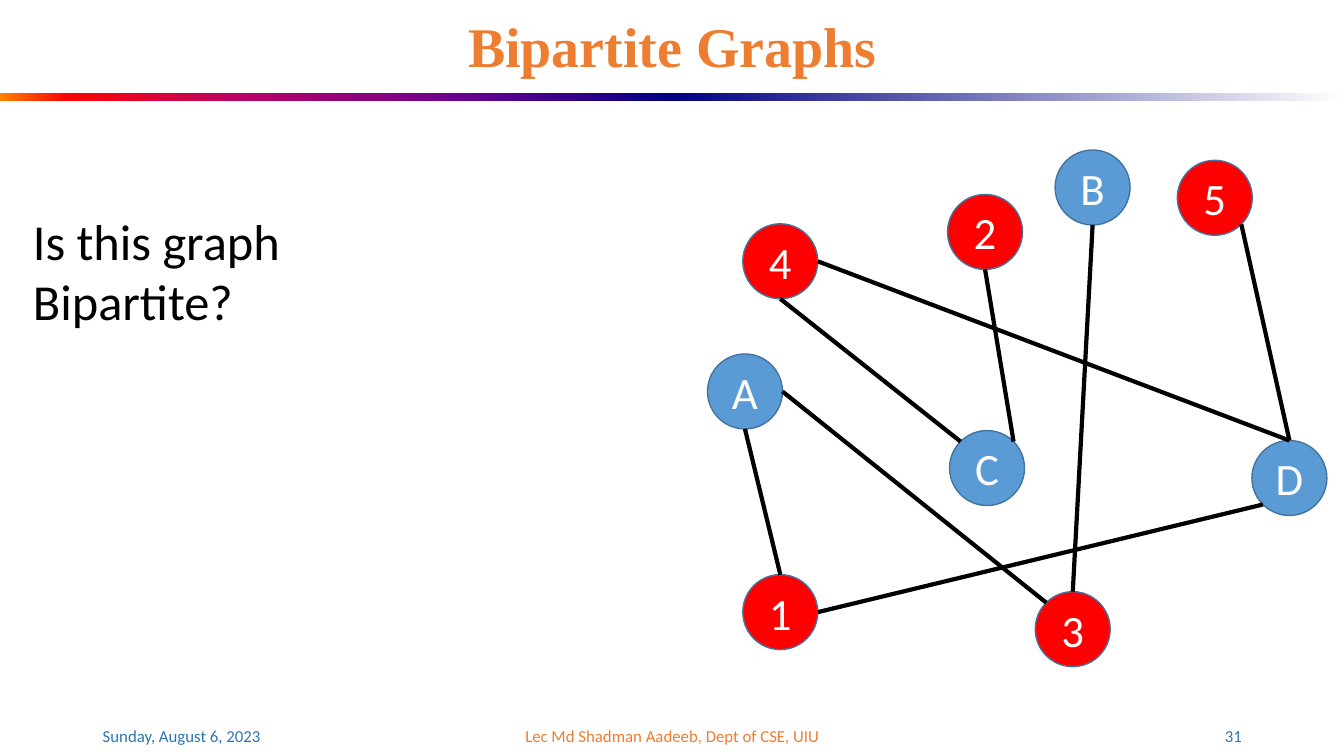
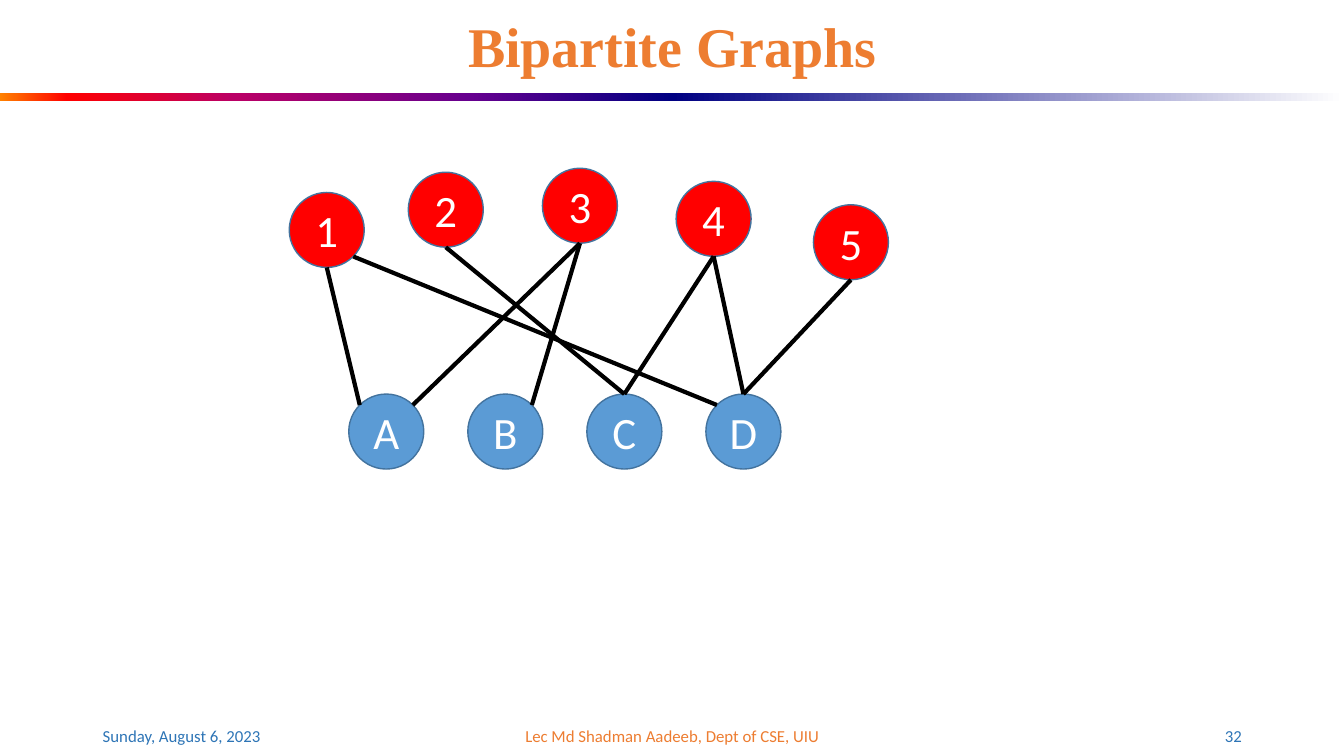
from math import cos, pi, sin

from lxml import etree
from pptx import Presentation
from pptx.dml.color import RGBColor
from pptx.enum.shapes import MSO_CONNECTOR, MSO_SHAPE
from pptx.enum.text import MSO_ANCHOR, PP_ALIGN
from pptx.oxml.ns import qn
from pptx.util import Cm, Pt

LEFT, CENTER, RIGHT = PP_ALIGN.LEFT, PP_ALIGN.CENTER, PP_ALIGN.RIGHT
TOP, MIDDLE = MSO_ANCHOR.TOP, MSO_ANCHOR.MIDDLE
RECTANGLE, OVAL = MSO_SHAPE.RECTANGLE, MSO_SHAPE.OVAL
STRAIGHT = MSO_CONNECTOR.STRAIGHT

SLIDE_W, SLIDE_H = 33.87, 19.05
NODE_SIZE = 1.89
ORANGE, BLUE, BLACK, WHITE = "ED7D31", "2E75B6", "000000", "FFFFFF"
NUMBER_FILL, LETTER_FILL, NODE_LINE = "FF0000", "5B9BD5", "43739E"
BAND_LEFT = [(0, "FF8200"), (10, "FF0000"), (35, "BA0066"),
             (70, "66008F"), (100, "000082")]
BAND_RIGHT = [(0, "000082"), (100, "FFFFFF")]

# Connection sites of an oval, counter-clockwise from the top
SITES = ["top", "top left", "left", "bottom left",
         "bottom", "bottom right", "right", "top right"]


def rgb(value):
    return RGBColor.from_string(value)


class Deck:
    """Holds the shared style and the slide being built."""

    def __init__(self):
        self.prs = Presentation()
        self.prs.slide_width, self.prs.slide_height = Cm(SLIDE_W), Cm(SLIDE_H)
        self.slide = None

    def start(self, title, number):
        self.slide = self.prs.slides.add_slide(self.prs.slide_layouts[6])
        # Colour band under the title
        self.band(0, BAND_LEFT)
        self.band(SLIDE_W / 2, BAND_RIGHT)
        # Footer
        self.text(2.34, 18.03, 7.62, 1.02, "Sunday, August 6, 2023", 12, BLUE)
        self.text(11.23, 18.03, 11.43, 1.02,
                  "Lec Md Shadman Aadeeb, Dept of CSE, UIU", 12, ORANGE, CENTER)
        self.text(23.93, 18.03, 7.62, 1.02, str(number), 12, BLUE, RIGHT)
        # Title
        self.text(2.34, 0.41, 29.21, 1.68, title, 40, ORANGE, CENTER,
                  font="Times New Roman", bold=True, spacing=0.9)

    def band(self, left, stops):
        band = self.slide.shapes.add_shape(
            RECTANGLE, Cm(left), Cm(2.34), Cm(SLIDE_W / 2), Cm(0.2))
        band.shadow.inherit = False
        band.line.fill.background()
        band.fill.gradient()
        band.fill.gradient_angle = 0
        stop_list = band._element.spPr.find(qn("a:gradFill")).find(qn("a:gsLst"))
        for default_stop in list(stop_list):
            stop_list.remove(default_stop)
        for percent, colour in stops:
            stop = etree.SubElement(stop_list, qn("a:gs"), pos=str(percent * 1000))
            etree.SubElement(stop, qn("a:srgbClr"), val=colour)

    def set_text(self, frame, words, size, colour, align, font="Calibri",
                 bold=False, spacing=None):
        frame.text = words
        for paragraph in frame.paragraphs:
            paragraph.alignment = align
            paragraph.line_spacing = spacing
            for run in paragraph.runs:
                run.font.name, run.font.size = font, Pt(size)
                run.font.bold = bold
                run.font.color.rgb = rgb(colour)

    def text(self, left, top, width, height, words, size, colour, align=LEFT,
             anchor=MIDDLE, **style):
        box = self.slide.shapes.add_textbox(
            Cm(left), Cm(top), Cm(width), Cm(height))
        box.text_frame.word_wrap = True
        box.text_frame.vertical_anchor = anchor
        self.set_text(box.text_frame, words, size, colour, align, **style)

    def node(self, label, left, top):
        node = self.slide.shapes.add_shape(
            OVAL, Cm(left), Cm(top), Cm(NODE_SIZE), Cm(NODE_SIZE))
        node.shadow.inherit = False
        node.fill.solid()
        node.fill.fore_color.rgb = rgb(
            NUMBER_FILL if label.isdigit() else LETTER_FILL)
        node.line.color.rgb = rgb(NODE_LINE)
        node.line.width = Pt(1)
        node.text_frame.word_wrap = False
        node.text_frame.vertical_anchor = MIDDLE
        self.set_text(node.text_frame, label, 32, WHITE, CENTER)
        return node

    def edge(self, *ends):
        """Join two (node, site) ends with a line glued to both nodes."""
        points = []
        for node, site in ends:
            angle = SITES.index(site) * pi / 4
            radius = node.width / 2
            points += [round(node.left + radius * (1 - sin(angle))),
                       round(node.top + radius * (1 - cos(angle)))]
        edge = self.slide.shapes.add_connector(STRAIGHT, *points)
        edge.line.color.rgb = rgb(BLACK)
        edge.line.width = Pt(3)
        etree.SubElement(edge._element.spPr, qn("a:effectLst"))
        glue = edge._element.nvCxnSpPr.cNvCxnSpPr
        for tag, (node, site) in zip(("a:stCxn", "a:endCxn"), ends):
            etree.SubElement(glue, qn(tag), id=str(node.shape_id),
                             idx=str(SITES.index(site)))

    def graph(self, places, edges):
        nodes = {label: self.node(label, *place)
                 for label, place in places.items()}
        for start, start_site, end, end_site in edges:
            self.edge((nodes[start], start_site), (nodes[end], end_site))


def main():
    deck = Deck()

    # Scattered graph with the question
    deck.start("Bipartite Graphs", 31)
    deck.graph(
        {"1": (18.72, 14.48), "2": (23.88, 4.9), "3": (26.09, 14.91),
         "4": (18.72, 5.64), "5": (29.67, 4.04), "A": (17.83, 8.92),
         "B": (26.59, 3.78), "C": (23.93, 10.85), "D": (31.55, 11.1)},
        [("1", "top", "A", "bottom"),
         ("3", "top left", "A", "right"),
         ("3", "top", "B", "bottom"),
         ("2", "bottom", "C", "top right"),
         ("4", "bottom", "C", "top left"),
         ("4", "right", "D", "top"),
         ("5", "bottom right", "D", "top"),
         ("1", "right", "D", "bottom left")])
    deck.text(0.58, 5.16, 6.81, 3.33, "Is this graph\nBipartite?", 36, BLACK,
              anchor=TOP)

    # Same graph sorted into two rows
    deck.start("Bipartite Graphs", 32)
    places = {"1": (7.29, 4.85), "2": (10.29, 4.34), "3": (13.67, 4.24),
              "4": (17.04, 4.57), "5": (20.5, 5.16)}
    for column, letter in enumerate("ABCD"):
        places[letter] = (8.79 + 3 * column, 9.93)
    deck.graph(
        places,
        [("1", "bottom", "A", "top left"),
         ("3", "bottom", "A", "top right"),
         ("3", "bottom", "B", "top right"),
         ("2", "bottom", "C", "top"),
         ("4", "bottom", "C", "top"),
         ("4", "bottom", "D", "top"),
         ("5", "bottom", "D", "top"),
         ("1", "bottom right", "D", "top left")])

    deck.prs.save("out.pptx")


if __name__ == "__main__":
    main()
